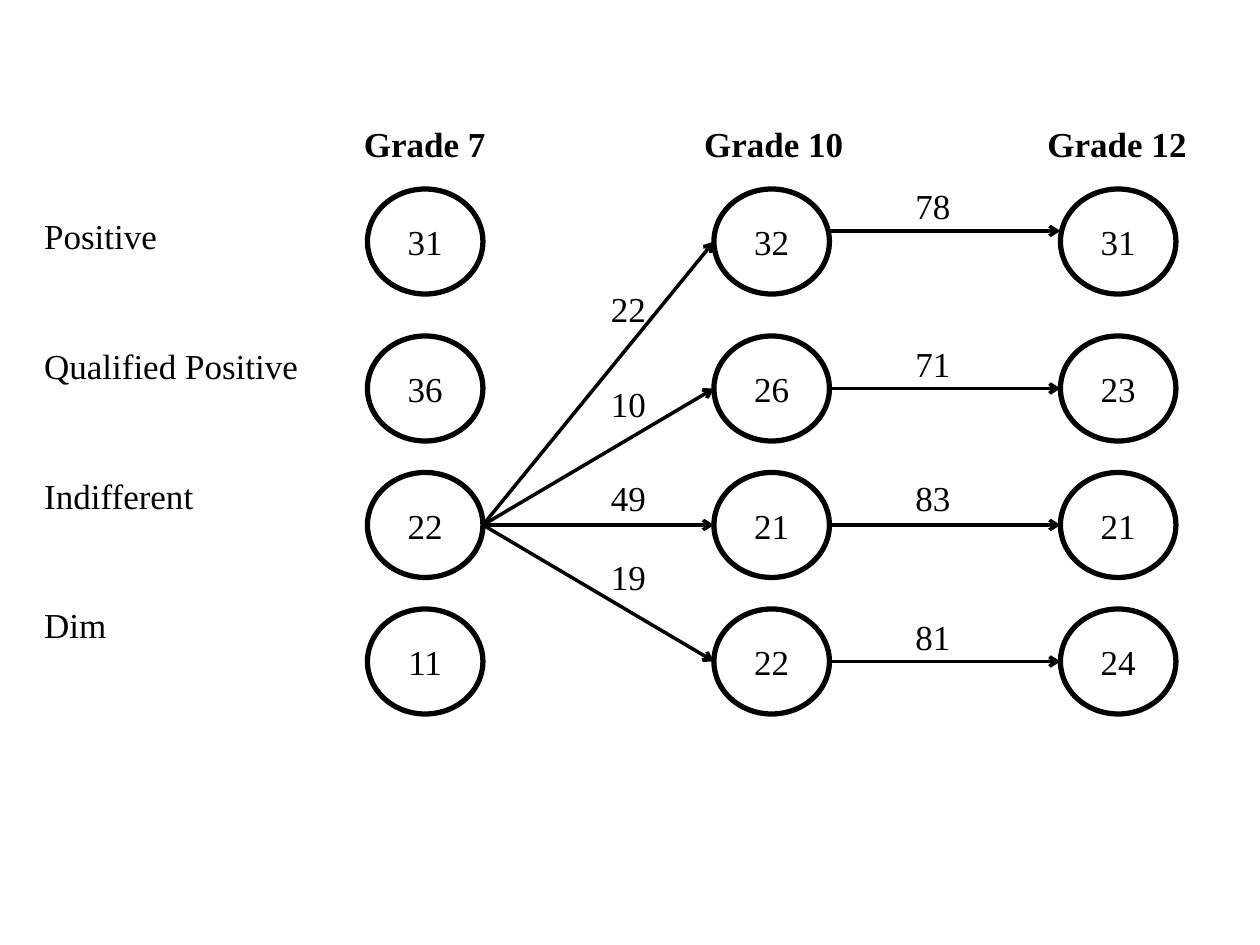
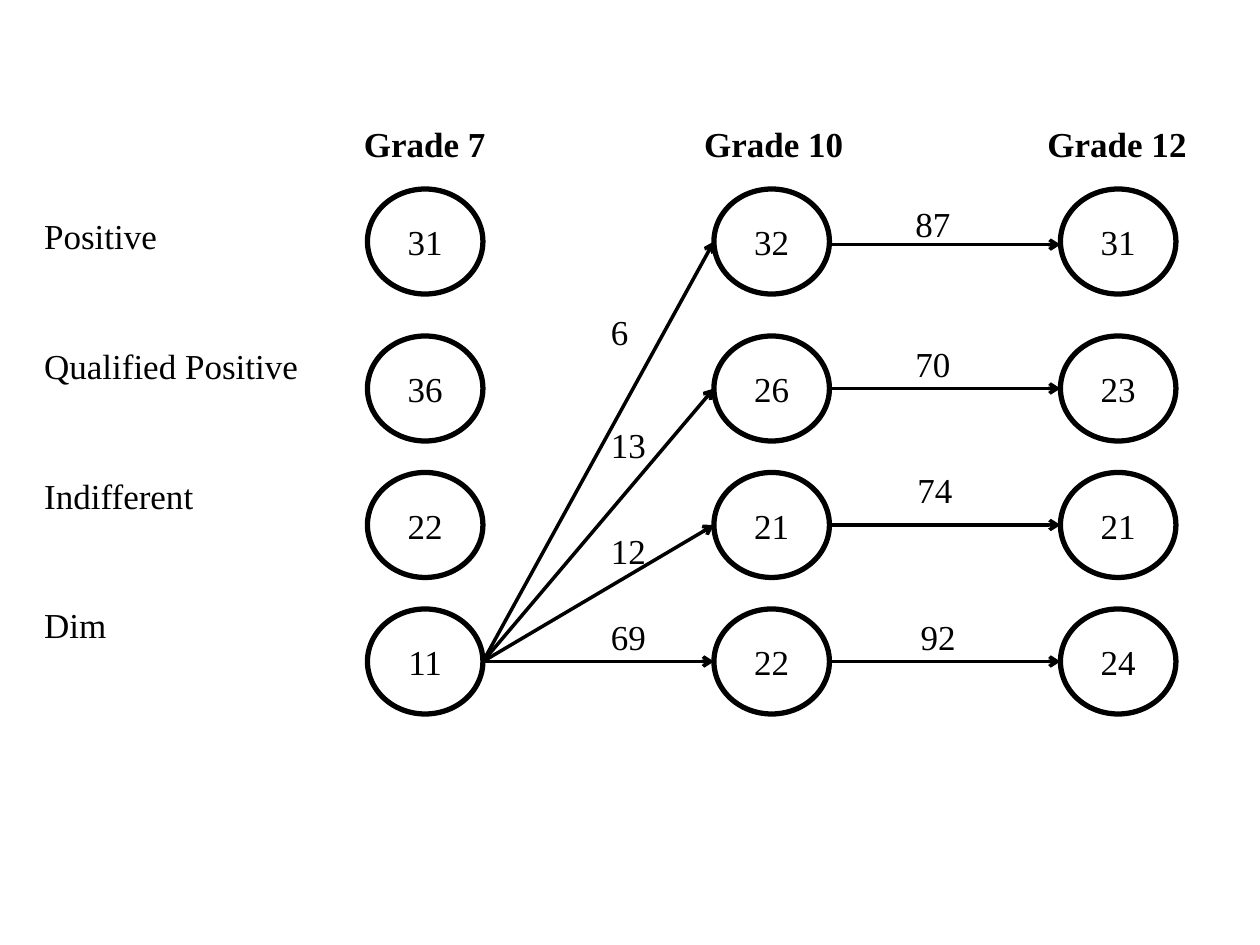
from pptx import Presentation
from pptx.dml.color import RGBColor
from pptx.enum.shapes import MSO_CONNECTOR, MSO_SHAPE
from pptx.enum.text import MSO_ANCHOR, MSO_AUTO_SIZE, PP_ALIGN
from pptx.oxml.ns import qn
from pptx.util import Inches, Pt
from lxml import etree

OVAL = MSO_SHAPE.OVAL
STRAIGHT = MSO_CONNECTOR.STRAIGHT
MIDDLE = MSO_ANCHOR.MIDDLE
GROW = MSO_AUTO_SIZE.SHAPE_TO_FIT_TEXT
LEFT, CENTER = PP_ALIGN.LEFT, PP_ALIGN.CENTER

BLACK = RGBColor(0, 0, 0)
FONT = "Times New Roman"
TEXT_SIZE = 20
CIRCLE_LINE, ARROW_LINE = 3, 2

GRID_COLUMNS, GRID_ROWS = 120, 90
CIRCLE_COLUMNS = (35, 68, 101)
CIRCLE_ROWS = (18, 32, 45, 58)
CIRCLE_WIDTH, CIRCLE_HEIGHT = 11, 10
LABEL_WIDTH, LABEL_HEIGHT = 7, 5.3
TABLE_LEFT, TABLE_TOP = 3, 11.4
TABLE_WIDTHS = (29.4, 16.1, 16.1, 18.2, 12.1, 23)
HEADER_HEIGHT, ROW_HEIGHT = 5, 12.35
ROW_TEXT_DROP = 4.43

GRADES = {1: "Grade 7", 3: "Grade 10", 5: "Grade 12"}
ATTITUDES = ("Positive", "Qualified Positive", "Indifferent", "Dim")
GRADE_SHARES = ((31, 36, 22, 11), (32, 26, 21, 22), (31, 23, 21, 24))

FLOWS = (
    {
        "source": 2,
        "first_arrow_row": 22,
        "early": ((22, 57, 26.8), (10, 57, 35.8), (49, 57, 44.8), (19, 57, 52.3)),
        "late": ((78, 86, 17), (71, 86, 32), (83, 86, 44.8), (81, 86, 58)),
    },
    {
        "source": 3,
        "first_arrow_row": 23.3,
        "early": ((6, 57, 29), (13, 57, 39.7), (12, 57, 49.8), (69, 57, 58)),
        "late": ((87, 86, 18.7), (70, 86, 32), (74, 86.2, 44), (92, 86.5, 58)),
    },
)


def apply(target, values):
    for name, value in values.items():
        setattr(target, name, value)


class FlowPage:
    def __init__(self, deck):
        self.column = deck.slide_width / GRID_COLUMNS
        self.row = deck.slide_height / GRID_ROWS
        self.shapes = deck.slides.add_slide(deck.slide_layouts[6]).shapes

    def across(self, columns):
        return round(columns * self.column)

    def down(self, rows):
        return round(rows * self.row)

    def area(self, left, top, width, height):
        return self.across(left), self.down(top), self.across(width), self.down(height)

    def add_text(self, frame, text, align=LEFT, bold=False):
        para = frame.paragraphs[0]
        para.alignment = align
        span = para.add_run()
        span.text = str(text)
        apply(span.font, {"name": FONT, "size": Pt(TEXT_SIZE), "bold": bold})
        span.font.color.rgb = BLACK

    def stroke(self, line, width):
        line.color.rgb = BLACK
        line.width = Pt(width)

    def attitude_table(self):
        row_count, column_count = len(ATTITUDES) + 1, len(TABLE_WIDTHS)
        height = HEADER_HEIGHT + ROW_HEIGHT * len(ATTITUDES)
        area = self.area(TABLE_LEFT, TABLE_TOP, sum(TABLE_WIDTHS), height)
        table = self.shapes.add_table(row_count, column_count, *area).table
        apply(table, {"first_row": False, "horz_banding": False})
        for column, width in zip(table.columns, TABLE_WIDTHS):
            column.width = self.across(width)
        for index, row in enumerate(table.rows):
            row.height = self.down(ROW_HEIGHT if index else HEADER_HEIGHT)
        for cell in table.iter_cells():
            cell.fill.background()
        for index, grade in GRADES.items():
            self.add_text(table.cell(0, index).text_frame, grade, CENTER, True)
        for index, attitude in enumerate(ATTITUDES, 1):
            cell = table.cell(index, 0)
            cell.margin_top = self.down(ROW_TEXT_DROP)
            self.add_text(cell.text_frame, attitude)

    def circle(self, share, left, top):
        area = self.area(left, top, CIRCLE_WIDTH, CIRCLE_HEIGHT)
        circle = self.shapes.add_shape(OVAL, *area)
        circle.shadow.inherit = False
        circle.fill.background()
        self.stroke(circle.line, CIRCLE_LINE)
        apply(circle.text_frame, {"vertical_anchor": MIDDLE, "word_wrap": False})
        self.add_text(circle.text_frame, share, CENTER)

    def arrow(self, start, end):
        (left, top), (right, bottom) = start, end
        arrow = self.shapes.add_connector(
            STRAIGHT, self.across(left), self.down(top),
            self.across(right), self.down(bottom))
        self.stroke(arrow.line, ARROW_LINE)
        properties = arrow._element.spPr
        head = etree.SubElement(properties.find(qn("a:ln")), qn("a:tailEnd"))
        head.set("type", "arrow")
        etree.SubElement(properties, qn("a:effectLst"))

    def label(self, share, left, top):
        box = self.shapes.add_textbox(*self.area(left, top, LABEL_WIDTH, LABEL_HEIGHT))
        apply(box.text_frame, {"word_wrap": True, "auto_size": GROW})
        self.add_text(box.text_frame, share)

    def flow(self, source, first_arrow_row, early, late):
        self.attitude_table()
        for left, shares in zip(CIRCLE_COLUMNS, GRADE_SHARES):
            for top, share in zip(CIRCLE_ROWS, shares):
                self.circle(share, left, top)
        grade_7, grade_10, grade_12 = CIRCLE_COLUMNS
        centers = [top + CIRCLE_HEIGHT / 2 for top in CIRCLE_ROWS]
        for center in centers:
            self.arrow((grade_7 + CIRCLE_WIDTH, centers[source]), (grade_10, center))
        for level in [first_arrow_row] + centers[1:]:
            self.arrow((grade_10 + CIRCLE_WIDTH, level), (grade_12, level))
        for share, left, top in early + late:
            self.label(share, left, top)


def main():
    deck = Presentation()
    apply(deck, {"slide_width": Inches(10), "slide_height": Inches(7.5)})
    for flow in FLOWS:
        FlowPage(deck).flow(**flow)
    deck.save("out.pptx")


if __name__ == "__main__":
    main()
